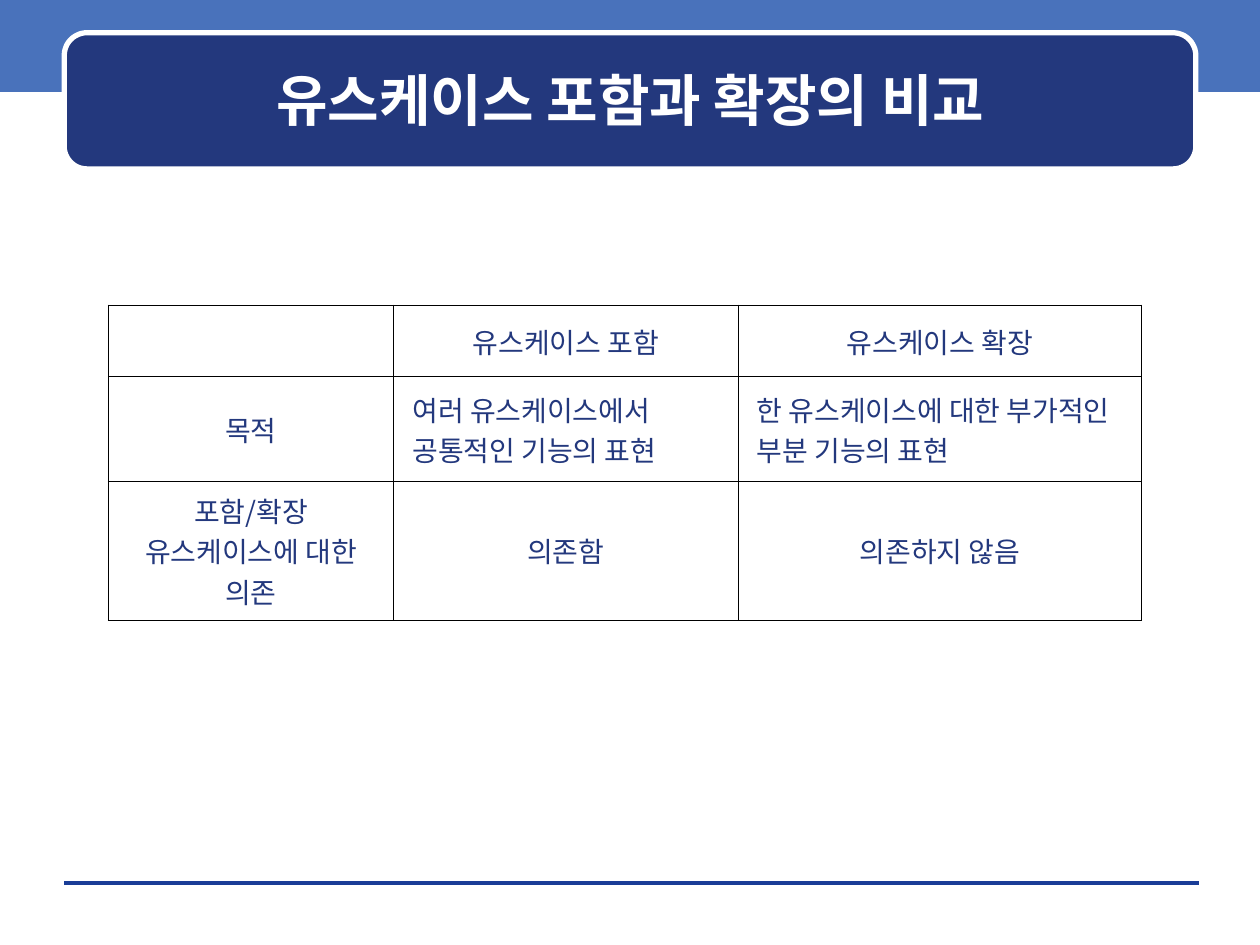
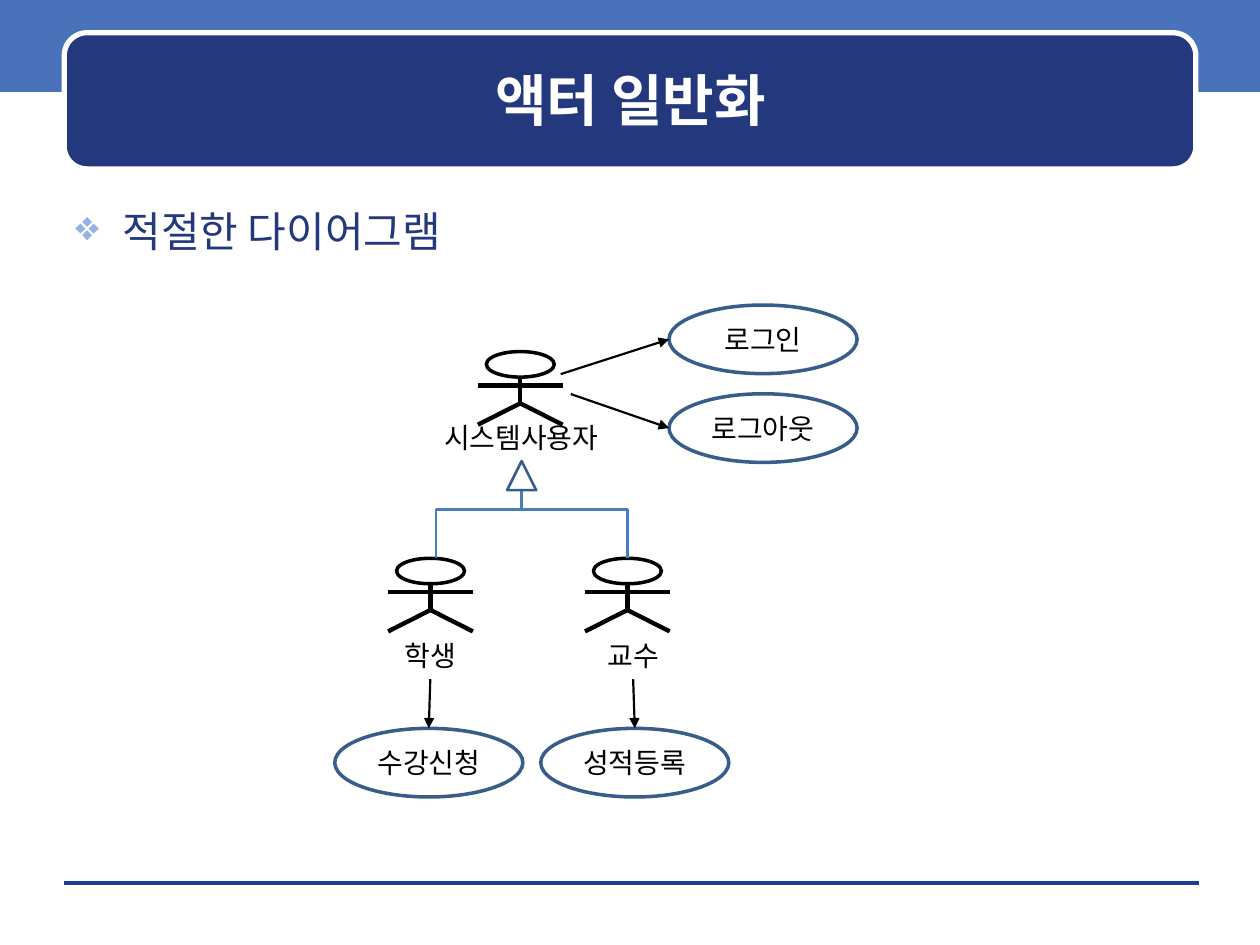
from lxml.etree import SubElement
from pptx import Presentation
from pptx.dml.color import RGBColor
from pptx.enum.shapes import MSO_CONNECTOR as Line, MSO_SHAPE as Shape
from pptx.enum.text import MSO_ANCHOR as Anchor, PP_ALIGN as Align
from pptx.oxml import parse_xml
from pptx.oxml.ns import nsdecls, qn
from pptx.util import Pt

FONT = "Noto Sans CJK KR"
NAVY, BLUE, WHITE, BLACK = "23387D", "4972BB", "FFFFFF", "000000"
OUTLINE, BRANCH, RULE, BULLET = "385D8A", "4A7EBB", "1A3D97", "96B1E6"
rgb = RGBColor.from_string


def write(frame, text, size, color, align=Align.CENTER, bold=False):
    frame.word_wrap = True
    paragraph = frame.paragraphs[0]
    paragraph.alignment = align
    run = paragraph.add_run()
    run.text = text
    run.font.size = Pt(size)
    run.font.bold = bold
    run.font.color.rgb = rgb(color)
    run.font.name = FONT
    SubElement(run.font._element, qn("a:ea"), typeface=FONT)


def style(item, color, width, fill=None):
    if color:
        item.line.color.rgb = rgb(color)
        item.line.width = Pt(width)
    else:
        item.line.fill.background()
    if fill:
        item.fill.solid()
        item.fill.fore_color.rgb = rgb(fill)
    elif hasattr(item, "fill"):
        item.fill.background()
    SubElement(item.element.spPr, qn("a:effectLst"))


deck = Presentation()
deck.slide_width, deck.slide_height = Pt(720), Pt(540)
title_only = deck.slide_layouts[5]
comparison = deck.slides.add_slide(title_only)
generalization = deck.slides.add_slide(title_only)

band = comparison.shapes.add_shape(Shape.RECTANGLE, Pt(0), Pt(-2.2), Pt(720), Pt(54.7))
style(band, None, 0, BLUE)
footer_rule = comparison.shapes.add_connector(Line.STRAIGHT, Pt(36.7), Pt(504.7), Pt(685), Pt(504.7))
style(footer_rule, RULE, 0)
title_panel = comparison.shapes.add_shape(Shape.ROUNDED_RECTANGLE, Pt(36.7), Pt(18.7), Pt(646.6), Pt(77.8))
style(title_panel, WHITE, 3, NAVY)
for index, part in enumerate((band, footer_rule, title_panel), 2):
    title_only.shapes.element.insert(index, part.element)

for slide, heading in ((comparison, "유스케이스 포함과 확장의 비교"), (generalization, "액터 일반화")):
    title = slide.shapes.title
    title.left, title.top, title.width, title.height = Pt(43.2), Pt(25.2), Pt(634.3), Pt(63.4)
    title.text_frame.vertical_anchor = Anchor.MIDDLE
    write(title.text_frame, heading, 32, WHITE, bold=True)

rows = (
    ("", "유스케이스 포함", "유스케이스 확장"),
    ("목적", "여러 유스케이스에서 공통적인 기능의 표현", "한 유스케이스에 대한 부가적인 부분 기능의 표현"),
    ("포함/확장 유스케이스에 대한 의존", "의존함", "의존하지 않음"),
)
table = comparison.shapes.add_table(3, 3, Pt(61.8), Pt(174.3), Pt(590.7), Pt(180)).table
table.first_row = table.horz_banding = False
for column, width in zip(table.columns, (163.2, 196.8, 230.7)):
    column.width = Pt(width)
for row, height in zip(table.rows, (41, 59.8, 79.2)):
    row.height = Pt(height)
for r, texts in enumerate(rows):
    for c, text in enumerate(texts):
        cell = table.cell(r, c)
        cell.fill.background()
        cell.vertical_anchor = Anchor.MIDDLE
        cell.margin_left = cell.margin_right = Pt(10.8)
        cell.margin_top = cell.margin_bottom = Pt(3.6)
        if text:
            align = Align.LEFT if r == 1 and c > 0 else Align.CENTER
            write(cell.text_frame, text, 16, NAVY, align)
        for index, side in enumerate("LRTB"):
            border = parse_xml(
                f'<a:ln{side} {nsdecls("a")} w="{Pt(0.45)}"><a:solidFill>'
                f'<a:srgbClr val="{BLACK}"/></a:solidFill></a:ln{side}>'
            )
            cell._tc.tcPr.insert(index, border)

shapes = generalization.shapes
topic = shapes.add_textbox(Pt(36), Pt(113.8), Pt(648), Pt(383.8)).text_frame
properties = topic.paragraphs[0]._p.get_or_add_pPr()
properties.set("marL", str(Pt(27)))
properties.set("indent", str(-Pt(27)))
SubElement(SubElement(properties, qn("a:buClr")), qn("a:srgbClr"), val=BULLET)
SubElement(properties, qn("a:buChar"), char="❖")
write(topic, "적절한 다이어그램", 24, NAVY, Align.LEFT)

actors = (
    ("학생", 246, 319, 245.9, 361.5, 75.6),
    ("교수", 358.5, 319, 361.8, 361.5, 75.6),
    ("시스템사용자", 297.3, 200.9, 297.8, 236.9, 134.6),
)
labels = {}
for name, x, top, label_x, label_top, label_width in actors:
    actor = generalization.shapes.add_group_shape().shapes
    head = actor.add_shape(Shape.OVAL, Pt(x - 19.4), Pt(top), Pt(38.8), Pt(14.6))
    style(head, BLACK, 2)
    limbs = ((0, 14.6, 0, 29.6), (-24.2, 19.4, 24.2, 19.4), (0, 29.6, -24.2, 41.8), (0, 29.6, 24.2, 41.8))
    for x1, y1, x2, y2 in limbs:
        limb = actor.add_connector(Line.STRAIGHT, Pt(x + x1), Pt(top + y1), Pt(x + x2), Pt(top + y2))
        style(limb, BLACK, 2.5)
    label = shapes.add_textbox(Pt(label_x - label_width / 2), Pt(label_top), Pt(label_width), Pt(26.6))
    write(label.text_frame, name, 16, BLACK)
    labels[name] = label

parent_x, parent_y, drop = 298.1, 263.5, 55.4
for child_x, side, angle in ((249.1, -1, 90), (358.6, 1, 270)):
    middle_x, middle_y = (parent_x + child_x) / 2, parent_y + drop / 2
    spread = abs(child_x - parent_x)
    branch = shapes.add_connector(
        Line.ELBOW,
        Pt(middle_x + side * drop / 2), Pt(middle_y - spread / 2),
        Pt(middle_x - side * drop / 2), Pt(middle_y + spread / 2),
    )
    branch.element.spPr.find(qn("a:xfrm")).set("rot", str(angle * 60000))
    style(branch, BRANCH, 1.5)
arrowhead = shapes.add_shape(Shape.ISOSCELES_TRIANGLE, Pt(parent_x - 8.3), Pt(parent_y), Pt(16.6), Pt(16.6))
style(arrowhead, OUTLINE, 1.5, WHITE)

use_cases = (
    ("로그인", 382.3, 174.3, (320.4, 213.8), None),
    ("로그아웃", 382.3, 225, (326.2, 225.2), None),
    ("수강신청", 191.3, 416.2, None, "학생"),
    ("성적등록", 309, 416.2, None, "교수"),
)
for name, left, top, start, owner in use_cases:
    use_case = shapes.add_shape(Shape.OVAL, Pt(left), Pt(top), Pt(107.5), Pt(39.2))
    style(use_case, OUTLINE, 2)
    frame = use_case.text_frame
    frame.margin_left = frame.margin_right = Pt(0)
    frame.vertical_anchor = Anchor.MIDDLE
    write(frame, name, 16, BLACK)
    x, y = start or (0, 0)
    end_x, end_y = (left + 53.75, top) if owner else (left, top + 19.6)
    arrow = shapes.add_connector(Line.STRAIGHT, Pt(x), Pt(y), Pt(end_x), Pt(end_y))
    if owner:
        arrow.begin_connect(labels[owner], 2)
    style(arrow, BLACK, 1.25)
    SubElement(arrow.line._get_or_add_ln(), qn("a:tailEnd"), type="triangle")

deck.save("out.pptx")
